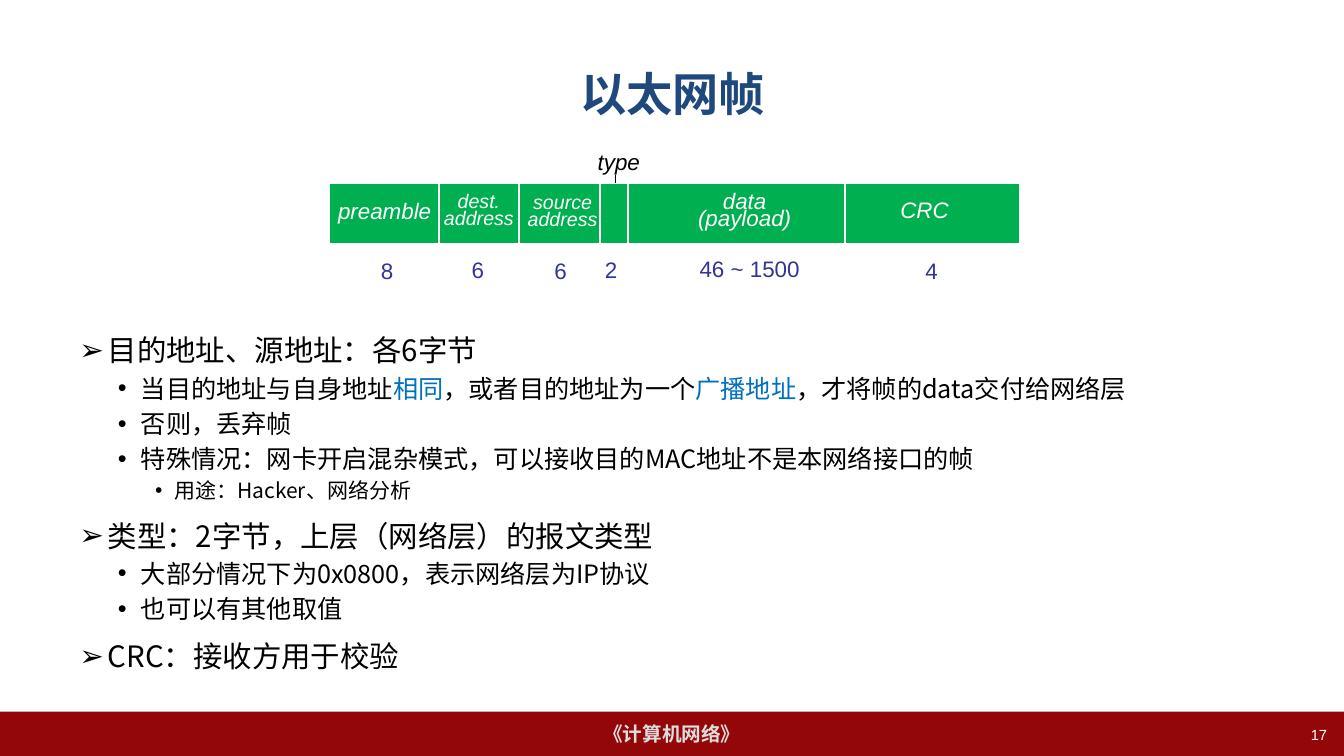
from lxml import etree
from pptx import Presentation
from pptx.dml.color import RGBColor
from pptx.enum.shapes import MSO_CONNECTOR, MSO_SHAPE
from pptx.enum.text import MSO_ANCHOR, PP_ALIGN
from pptx.oxml.ns import qn
from pptx.util import Inches, Pt

LEFT, CENTER, RIGHT = PP_ALIGN.LEFT, PP_ALIGN.CENTER, PP_ALIGN.RIGHT
TOP, MIDDLE = MSO_ANCHOR.TOP, MSO_ANCHOR.MIDDLE
RECT = MSO_SHAPE.RECTANGLE
STRAIGHT = MSO_CONNECTOR.STRAIGHT
LATIN, HAN = "Arial", "Noto Sans CJK SC"
WHITE, BLACK, BLUE, NAVY = "FFFFFF", "000000", "0070C0", "333399"

LEVELS = [
    ("➢", 21, 0.28, 0.28, 0.5),
    ("•", 18, 0.61, 0.23, 0.2),
    ("•", 15, 0.94, 0.19, 0.2),
]

POINTS = [
    (0, ["目的地址、源地址：各6字节"]),
    (1, ["当目的地址与自身地址", "相同", "，或者目的地址为一个", "广播地址",
         "，才将帧的data交付给网络层"]),
    (1, ["否则，丢弃帧"]),
    (1, ["特殊情况：网卡开启混杂模式，可以接收目的MAC地址不是本网络接口的帧"]),
    (2, ["用途：Hacker、网络分析"]),
    (0, ["类型：2字节，上层（网络层）的报文类型"]),
    (1, ["大部分情况下为0x0800，表示网络层为IP协议"]),
    (1, ["也可以有其他取值"]),
    (0, ["CRC：接收方用于校验"]),
]

DIVIDERS = [(4.35, 1.81, 2.41), (5.15, 1.81, 2.45), (5.95, 1.82, 2.42),
            (6.23, 1.81, 2.45), (8.38, 1.82, 2.5)]

FIELDS = [
    ("preamble", 16, 3.23, 2.01, 1.17, 0.29),
    ("dest.\naddress", 14, 4.29, 1.89, 0.92, 0.45),
    ("source\naddress", 14, 5.12, 1.9, 0.92, 0.45),
    ("data (payload)", 16, 6.63, 1.91, 1.51, 0.45),
    ("CRC", 16, 8.7, 2, 0.94, 0.29),
]

SIZES = [("8", 3.68, 2.5, 0.32), ("6", 4.58, 2.49, 0.32), ("6", 5.4, 2.5, 0.32),
         ("2", 5.9, 2.49, 0.32), ("46 ~ 1500", 6.84, 2.48, 1.2),
         ("4", 9.08, 2.5, 0.32)]


def color(value):
    return RGBColor.from_string(value)


def style(run, size, fill, face=LATIN, bold=False, italic=False):
    font = run.font
    font.size, font.name = Pt(size), face
    font.bold, font.italic = bold, italic
    font.color.rgb = color(fill)
    latin = run._r.get_or_add_rPr().find(qn("a:latin"))
    east = etree.Element(qn("a:ea"), typeface=HAN)
    latin.addnext(east)


def write(frame, text, size, fill, align=LEFT, anchor=TOP, wrap=True,
          pitch=None, **look):
    frame.text = text
    frame.word_wrap = wrap
    frame.vertical_anchor = anchor
    for para in frame.paragraphs:
        para.alignment = align
        if pitch:
            para.line_spacing = Pt(pitch)
        for run in para.runs:
            style(run, size, fill, **look)


def label(slide, text, size, fill, x, y, w, h, **look):
    box = slide.shapes.add_textbox(Inches(x), Inches(y), Inches(w), Inches(h))
    write(box.text_frame, text, size, fill, **look)


def block(slide, x, y, w, h, fill, edge=None):
    shape = slide.shapes.add_shape(RECT, Inches(x), Inches(y), Inches(w), Inches(h))
    shape.shadow.inherit = False
    shape.fill.solid()
    shape.fill.fore_color.rgb = color(fill)
    if edge:
        shape.line.color.rgb = color(edge)
        shape.line.width = Pt(0.75)
    else:
        shape.line.fill.background()
    return shape


def rule(slide, x, top, end, fill, width):
    line = slide.shapes.add_connector(
        STRAIGHT, Inches(x), Inches(top), Inches(x), Inches(end))
    line.line.color.rgb = color(fill)
    line.line.width = Pt(width)
    etree.SubElement(line._element.spPr, qn("a:effectLst"))


def bullet(para, mark, left, hang):
    props = para._p.get_or_add_pPr()
    props.set("marL", str(Inches(left)))
    props.set("indent", str(-Inches(hang)))
    etree.SubElement(props, qn("a:buFont"), typeface=LATIN)
    etree.SubElement(props, qn("a:buChar"), char=mark)


def outline(slide, x, y, w, h):
    box = slide.shapes.add_textbox(Inches(x), Inches(y), Inches(w), Inches(h))
    frame = box.text_frame
    frame.word_wrap = True
    for index, (level, parts) in enumerate(POINTS):
        para = frame.add_paragraph() if index else frame.paragraphs[0]
        mark, size, left, hang, gap = LEVELS[level]
        bullet(para, mark, left, hang)
        para.level = level
        para.space_before = Pt(gap * size if index else 0)
        for place, part in enumerate(parts):
            run = para.add_run()
            run.text = part
            style(run, size, BLUE if place % 2 else BLACK, HAN)


def frame_chart(slide):
    rule(slide, 6.1, 1.74, 1.97, BLACK, 0.75)
    block(slide, 3.27, 1.82, 6.84, 0.6, "00B050", WHITE)
    for x, top, end in DIVIDERS:
        rule(slide, x, top, end, WHITE, 1.5)
    for text, size, *place in FIELDS:
        label(slide, text, size, WHITE, *place, align=CENTER, pitch=12, italic=True)
    label(slide, "type", 16, BLACK, 5.83, 1.42, 0.84, 0.37, italic=True)
    for text, x, y, w in SIZES:
        label(slide, text, 16, NAVY, x, y, w, 0.37, wrap=False)


def main():
    deck = Presentation()
    deck.slide_width, deck.slide_height = Inches(13.33), Inches(7.5)
    slide = deck.slides.add_slide(deck.slide_layouts[6])
    footer = block(slide, 0, 7.06, 13.33, 0.44, "940709")
    write(footer.text_frame, "《计算机网络》", 14, "DDDDDD", align=CENTER,
          anchor=MIDDLE, wrap=False, bold=True)
    label(slide, "以太网帧", 33, "1F497D", 0.67, 0.3, 12, 1.25,
          align=CENTER, anchor=MIDDLE, bold=True)
    outline(slide, 0.69, 3.25, 12, 2.95)
    label(slide, "17", 10.5, WHITE, 10.15, 7.15, 3.11, 0.35, align=RIGHT)
    frame_chart(slide)
    deck.save("out.pptx")


if __name__ == "__main__":
    main()
